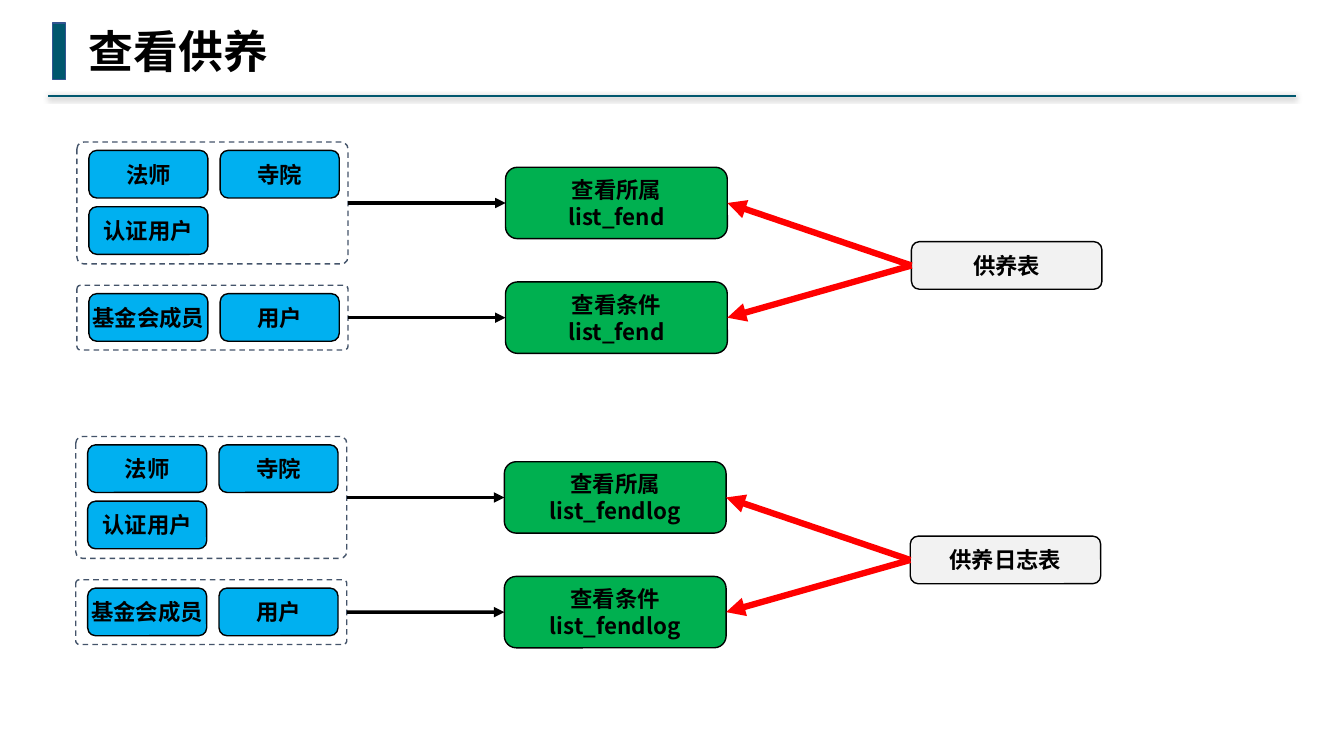
import pptx
import pptx.util
import pptx.dml.color
import pptx.enum.dml
import pptx.enum.shapes
import pptx.enum.text
import pptx.oxml
import pptx.oxml.ns

Cm = pptx.util.Cm
Pt = pptx.util.Pt
RGBColor = pptx.dml.color.RGBColor
SHAPE = pptx.enum.shapes.MSO_SHAPE
STRAIGHT = pptx.enum.shapes.MSO_CONNECTOR.STRAIGHT

TEAL = RGBColor(0x00, 0x57, 0x6E)
BAR_EDGE = RGBColor(0x32, 0x54, 0x91)
BLACK = RGBColor(0x00, 0x00, 0x00)
RED = RGBColor(0xFF, 0x00, 0x00)
BLUE = RGBColor(0x00, 0xB0, 0xF0)
GREEN = RGBColor(0x00, 0xB0, 0x50)
GREY = RGBColor(0xF2, 0xF2, 0xF2)
SLATE = RGBColor(0x44, 0x54, 0x6A)

TITLE_FONT = {"name": "Noto Sans Mono", "size": Pt(32), "bold": True}
LABEL_FONT = {"name": "Noto Sans CJK SC", "size": Pt(16), "bold": True}
LABEL_FRAME = {
    "margin_left": Cm(0.1), "margin_right": Cm(0.1),
    "margin_top": Cm(0.1), "margin_bottom": Cm(0.1),
    "word_wrap": False,
    "vertical_anchor": pptx.enum.text.MSO_ANCHOR.MIDDLE,
}
SHADOW = (
    '<a:outerShdw blurRad="50800" dist="12700" dir="5400000" rotWithShape="0">'
    '<a:srgbClr val="000000"><a:alpha val="40000"/></a:srgbClr></a:outerShdw>'
)

CHIP_W, CHIP_H = 3, 1.2
CHIP_STEP_X, CHIP_STEP_Y = 3.31, 1.42
PAD_X, PAD_Y = 0.3, 0.21
FRAME_W = 6.83
ACTION_X, ACTION_W, ACTION_H = 10.8, 5.59, 1.8
TABLE_X, TABLE_Y, TABLE_W = 21.03, 2.51, 4.8
ROLES = [
    (0, 3.07, ["法师", "寺院", "认证用户"], "查看所属"),
    (3.61, 1.63, ["基金会成员", "用户"], "查看条件"),
]


def set_all(obj, values):
    for name, value in values.items():
        setattr(obj, name, value)


def add_xml(parent, tag, inner="", attrs=""):
    ns = pptx.oxml.ns.nsdecls("a")
    parent.append(pptx.oxml.parse_xml(f"<a:{tag} {ns} {attrs}>{inner}</a:{tag}>"))


def add_text(p, text, font):
    r = p.add_run()
    r.text = text
    set_all(r.font, font)
    r.font.color.rgb = BLACK
    add_xml(r.font._element, "ea", attrs=f'typeface="{font["name"]}"')


def add_box(shapes, kind, x, y, w, h, fill, edge, lines=()):
    sp = shapes.add_shape(kind, Cm(x), Cm(y), Cm(w), Cm(h))
    sp.shadow.inherit = False
    if fill is None:
        sp.fill.background()
    else:
        sp.fill.solid()
        sp.fill.fore_color.rgb = fill
    sp.line.color.rgb = edge
    sp.line.width = Pt(1)
    tf = sp.text_frame
    if lines:
        set_all(tf, LABEL_FRAME)
    for i, text in enumerate(lines):
        p = tf.add_paragraph() if i else tf.paragraphs[0]
        p.alignment = pptx.enum.text.PP_ALIGN.CENTER
        add_text(p, text, LABEL_FONT)
    return sp


def add_line(s, ends, color, width, effect=""):
    cxn = s.shapes.add_connector(STRAIGHT, *[Cm(v) for v in ends])
    cxn.line.color.rgb = color
    cxn.line.width = Pt(width)
    add_xml(cxn._element.spPr, "effectLst", effect)
    return cxn


def add_arrow(s, start, start_side, end, end_side, color, width):
    cxn = add_line(s, (0, 0, 0, 0), color, width)
    cxn.begin_connect(start, start_side)
    cxn.end_connect(end, end_side)
    add_xml(cxn.line._get_or_add_ln(), "tailEnd", attrs='type="triangle"')


def add_header(s, x, y, w, title):
    add_line(s, (x + w, y + 1.83, x, y + 1.83), TEAL, 1.5, SHADOW)
    add_box(s.shapes, SHAPE.RECTANGLE, x + 0.13, y, 0.33, 1.42, TEAL, BAR_EDGE)
    tb = s.shapes.add_textbox(Cm(x + 0.79), Cm(y - 0.1), Cm(5.08), Cm(1.63))
    tf = tb.text_frame
    tf.word_wrap = False
    tf.auto_size = pptx.enum.text.MSO_AUTO_SIZE.SHAPE_TO_FIT_TEXT
    add_text(tf.paragraphs[0], title, TITLE_FONT)


def add_roles(s, x, y, h, roles):
    shapes = s.shapes.add_group_shape().shapes
    for i, role in enumerate(roles):
        row, col = divmod(i, 2)
        add_box(shapes, SHAPE.ROUNDED_RECTANGLE,
                x + PAD_X + col * CHIP_STEP_X, y + PAD_Y + row * CHIP_STEP_Y,
                CHIP_W, CHIP_H, BLUE, BLACK, [role])
    frame = add_box(shapes, SHAPE.ROUNDED_RECTANGLE, x, y, FRAME_W, h, None, SLATE)
    frame.adjustments[0] = 0.055
    frame.line.dash_style = pptx.enum.dml.MSO_LINE.DASH
    return frame


def add_flow(s, x, y, function, table_name):
    table = add_box(s.shapes, SHAPE.ROUNDED_RECTANGLE, x + TABLE_X, y + TABLE_Y,
                    TABLE_W, CHIP_H, GREY, BLACK, [table_name])
    for dy, h, roles, label in ROLES:
        frame = add_roles(s, x, y + dy, h, roles)
        action = add_box(s.shapes, SHAPE.ROUNDED_RECTANGLE, x + ACTION_X,
                         y + dy + (h - ACTION_H) / 2, ACTION_W, ACTION_H,
                         GREEN, BLACK, [label, function])
        add_arrow(s, frame, 3, action, 1, BLACK, 2.5)
        add_arrow(s, table, 1, action, 3, RED, 4.5)


def main():
    prs = pptx.Presentation()
    prs.slide_width = Cm(33.87)
    prs.slide_height = Cm(19.05)
    s = prs.slides.add_slide(prs.slide_layouts[6])
    add_header(s, 1.2, 0.58, 31.46, "查看供养")
    add_flow(s, 1.94, 3.58, "list_fend", "供养表")
    add_flow(s, 1.91, 11, "list_fendlog", "供养日志表")
    prs.save("out.pptx")


if __name__ == "__main__":
    main()
